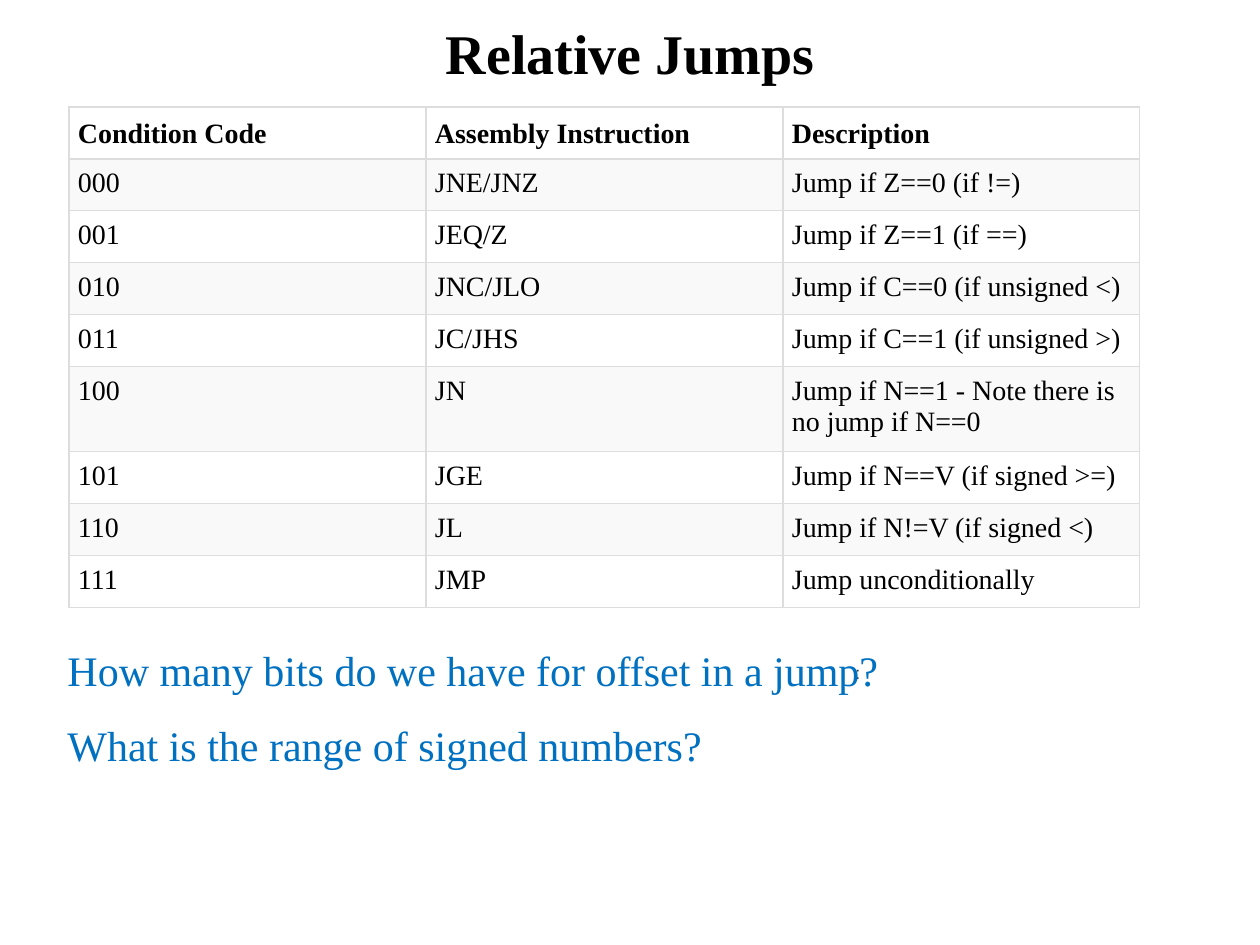
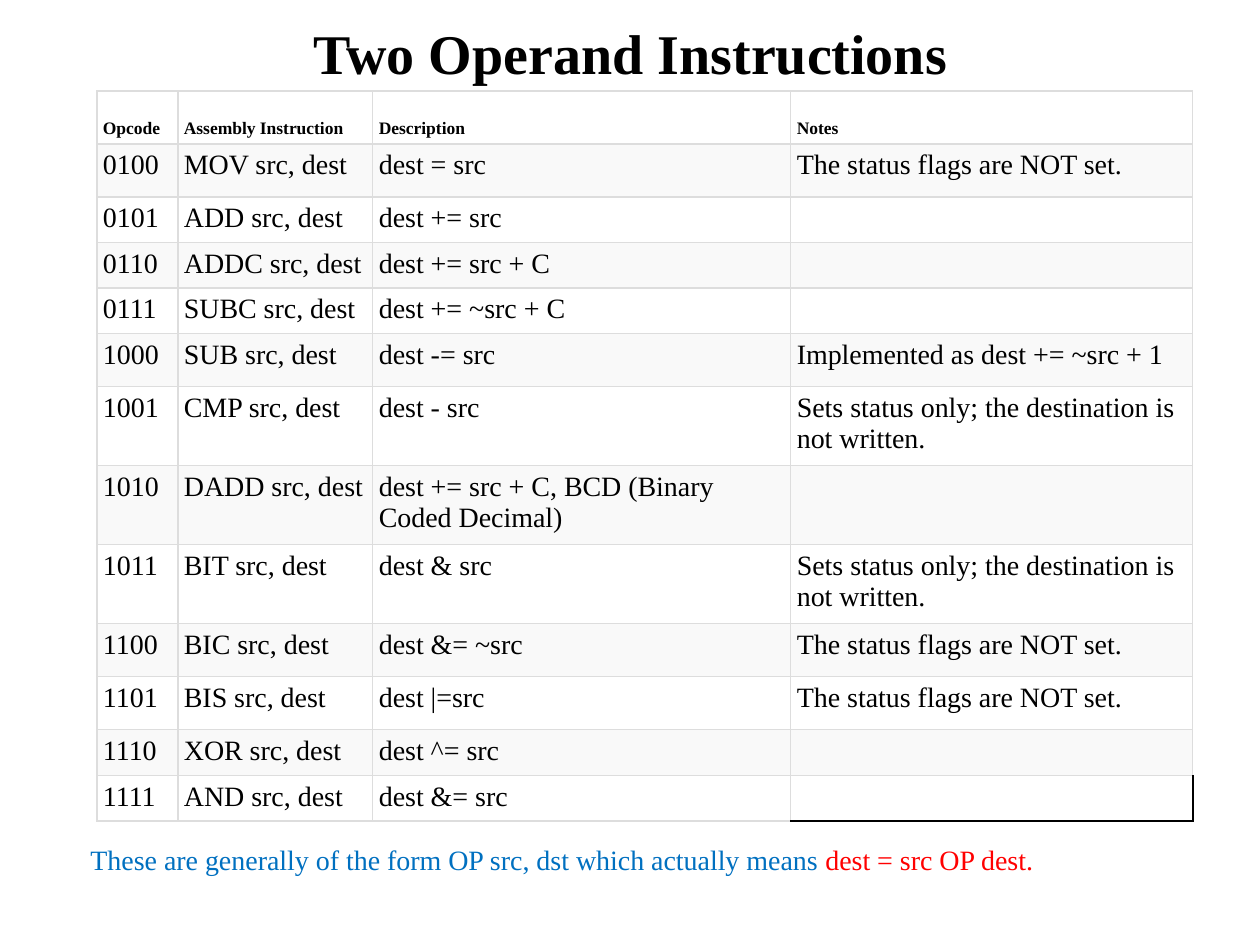
"""Two lecture slides on assembly instructions, each with a table and a remark."""
import pptx
import pptx.dml.color
import pptx.enum.text
import pptx.oxml.ns
import pptx.util
from lxml import etree

RGB = pptx.dml.color.RGBColor
BLACK = RGB(0x00, 0x00, 0x00)
WHITE = RGB(0xFF, 0xFF, 0xFF)
STRIPE = RGB(0xF9, 0xF9, 0xF9)
RULE = RGB(0xDD, 0xDD, 0xDD)
GREY = RGB(0x33, 0x33, 0x33)
BLUE = RGB(0x00, 0x70, 0xC0)
RED = RGB(0xFF, 0x00, 0x00)

SERIF, SANS = "Times New Roman", "Arial"
Pt = pptx.util.Pt
ANCHOR = pptx.enum.text.MSO_ANCHOR
PX = 914400 // 126
TITLE_BOX = (95, 21, 1071, 63)

JUMPS = [
    ("Condition Code", "Assembly Instruction", "Description"),
    ("000", "JNE/JNZ", "Jump if Z==0 (if\u00a0!=)"),
    ("001", "JEQ/Z", "Jump if Z==1 (if\u00a0==)"),
    ("010", "JNC/JLO", "Jump if C==0 (if unsigned\u00a0<)"),
    ("011", "JC/JHS", "Jump if C==1 (if unsigned\u00a0>)"),
    ("100", "JN", "Jump if N==1 - Note there is no jump if N==0"),
    ("101", "JGE", "Jump if N==V (if signed\u00a0>=)"),
    ("110", "JL", "Jump if N!=V (if signed\u00a0<)"),
    ("111", "JMP", "Jump unconditionally"),
]
FLAGS_KEPT = "The status flags are NOT set."
STATUS_ONLY = "Sets status only; the destination is not written."
OPERATIONS = [
    ("0100", "MOV", "dest = src", FLAGS_KEPT),
    ("0101", "ADD", "dest += src", ""),
    ("0110", "ADDC", "dest += src + C", ""),
    ("0111", "SUBC", "dest += ~src + C", ""),
    ("1000", "SUB", "dest -= src", "Implemented as dest += ~src + 1"),
    ("1001", "CMP", "dest - src", STATUS_ONLY),
    ("1010", "DADD", "dest += src + C, BCD (Binary Coded Decimal)", ""),
    ("1011", "BIT", "dest & src", STATUS_ONLY),
    ("1100", "BIC", "dest &= ~src", FLAGS_KEPT),
    ("1101", "BIS", "dest |=src", FLAGS_KEPT),
    ("1110", "XOR", "dest ^= src", ""),
    ("1111", "AND", "dest &= src", ""),
]


def px(*lengths):
    """Turn pixel lengths into EMU."""
    return [n * PX for n in lengths]


def apply(target, values):
    """Set each attribute of target from a dict."""
    for name, value in values.items():
        setattr(target, name, value)


def add_run(p, text, size, color, font=SERIF, bold=False):
    """Append a formatted run to a paragraph."""
    r = p.add_run()
    r.text = text
    apply(r.font, {"name": font, "size": Pt(size), "bold": bold})
    r.font.color.rgb = color


def add_slide(prs, title):
    """Add a title-only slide with its centred title."""
    s = prs.slides.add_slide(prs.slide_layouts[5])
    sp = s.shapes.title
    apply(sp, dict(zip(("left", "top", "width", "height"), px(*TITLE_BOX))))
    apply(sp.text_frame, {"vertical_anchor": ANCHOR.MIDDLE, "word_wrap": True,
                          "auto_size": pptx.enum.text.MSO_AUTO_SIZE.NONE})
    p = sp.text_frame.paragraphs[0]
    p.alignment = pptx.enum.text.PP_ALIGN.CENTER
    add_run(p, title, 32, BLACK, bold=True)
    return s


def add_text(s, box, paragraphs, size, font=SERIF, gap=0, wrap=True):
    """Add a text box; each paragraph is a list of (text, colour) runs."""
    tf = s.shapes.add_textbox(*px(*box)).text_frame
    tf.word_wrap = wrap
    for i, runs in enumerate(paragraphs):
        p = tf.add_paragraph() if i else tf.paragraphs[0]
        if i:
            p.space_before = Pt(gap)
        for text, color in runs:
            add_run(p, text, size, color, font)


def set_border(cell, side, color, width=0.75):
    """Draw one cell border; side is L, R, T or B."""
    tag = pptx.oxml.ns.qn
    ln = etree.SubElement(cell._tc.get_or_add_tcPr(), tag(f"a:ln{side}"), w=str(Pt(width)))
    fill = etree.SubElement(ln, tag("a:solidFill"))
    etree.SubElement(fill, tag("a:srgbClr"), val=str(color))


def fill_cell(cell, text, inset, size, header):
    """Set margins, anchor and text of a cell."""
    pad = inset * PX
    side_pad = {"margin_left": pad, "margin_right": pad}
    # An empty cell must not stretch its row
    end_pad = pad if text else 0
    apply(cell, {**side_pad, "margin_top": end_pad, "margin_bottom": end_pad,
                 "vertical_anchor": ANCHOR.BOTTOM if header else ANCHOR.TOP})
    if text:
        add_run(cell.text_frame.paragraphs[0], text, size, BLACK, bold=header)


def add_table(s, origin, cols, heights, rows, inset, header_size, open_corner=False):
    """Add a striped, ruled table; open_corner leaves the last cell unfilled, edged black."""
    frame = s.shapes.add_table(len(rows), len(cols),
                               *px(*origin, sum(cols), sum(heights)))
    table = frame.table
    apply(table, {"first_row": False, "horz_banding": False})
    for col, width in zip(table.columns, cols):
        col.width = width * PX
    for i, (row, height) in enumerate(zip(rows, heights)):
        table.rows[i].height = height * PX
        for j, text in enumerate(row):
            cell = table.cell(i, j)
            fill_cell(cell, text, inset, 16 if i else header_size, i == 0)
            corner = open_corner and (i, j) == (len(rows) - 1, len(cols) - 1)
            for side in "LRTB":
                edge = corner and side in "RB"
                set_border(cell, side, BLACK if edge else RULE, 1 if edge else 0.75)
            if corner:
                cell.fill.background()
            else:
                cell.fill.solid()
                cell.fill.fore_color.rgb = STRIPE if i % 2 else WHITE


def relative_jumps(prs):
    """Build the slide of jump condition codes."""
    s = add_slide(prs, "Relative Jumps")
    add_text(s, (843, 656, 30, 72), [[(":", GREY)]], 10, font=SANS, wrap=False)
    add_table(s, (69, 107), [357] * 3, [52, 51, 52, 52, 52, 85, 52, 52, 51],
              JUMPS, inset=9, header_size=16)
    add_text(s, (55, 638, 1014, 130),
             [[("How many bits do we have for offset in a jump?", BLUE)],
              [("What is the range of signed numbers?", BLUE)]], 24, gap=14)


def two_operand_instructions(prs):
    """Build the slide of two operand opcodes."""
    s = add_slide(prs, "Two Operand Instructions")
    add_text(s, (78, 836, 1014, 46),
             [[("These are generally of the form\u00a0OP src, dst\u00a0which "
                "actually means\u00a0", BLUE), ("dest = src OP dest.", RED)]], 16)
    rows = [("Opcode", "Assembly Instruction", "Description", "Notes")]
    rows += [(code, f"{name} src, dest", effect, note)
             for code, name, effect, note in OPERATIONS]
    low, mid, tall = 45, 53, 79
    heights = [mid] * 2 + [low] * 3 + [mid] + [tall] * 3 + [mid] * 2 + [low] * 2
    add_table(s, (97, 91), [81, 195, 418, 402], heights, rows,
              inset=6, header_size=10, open_corner=True)


prs = pptx.Presentation()
prs.slide_width, prs.slide_height = px(1260, 945)
relative_jumps(prs)
two_operand_instructions(prs)
prs.save("out.pptx")
